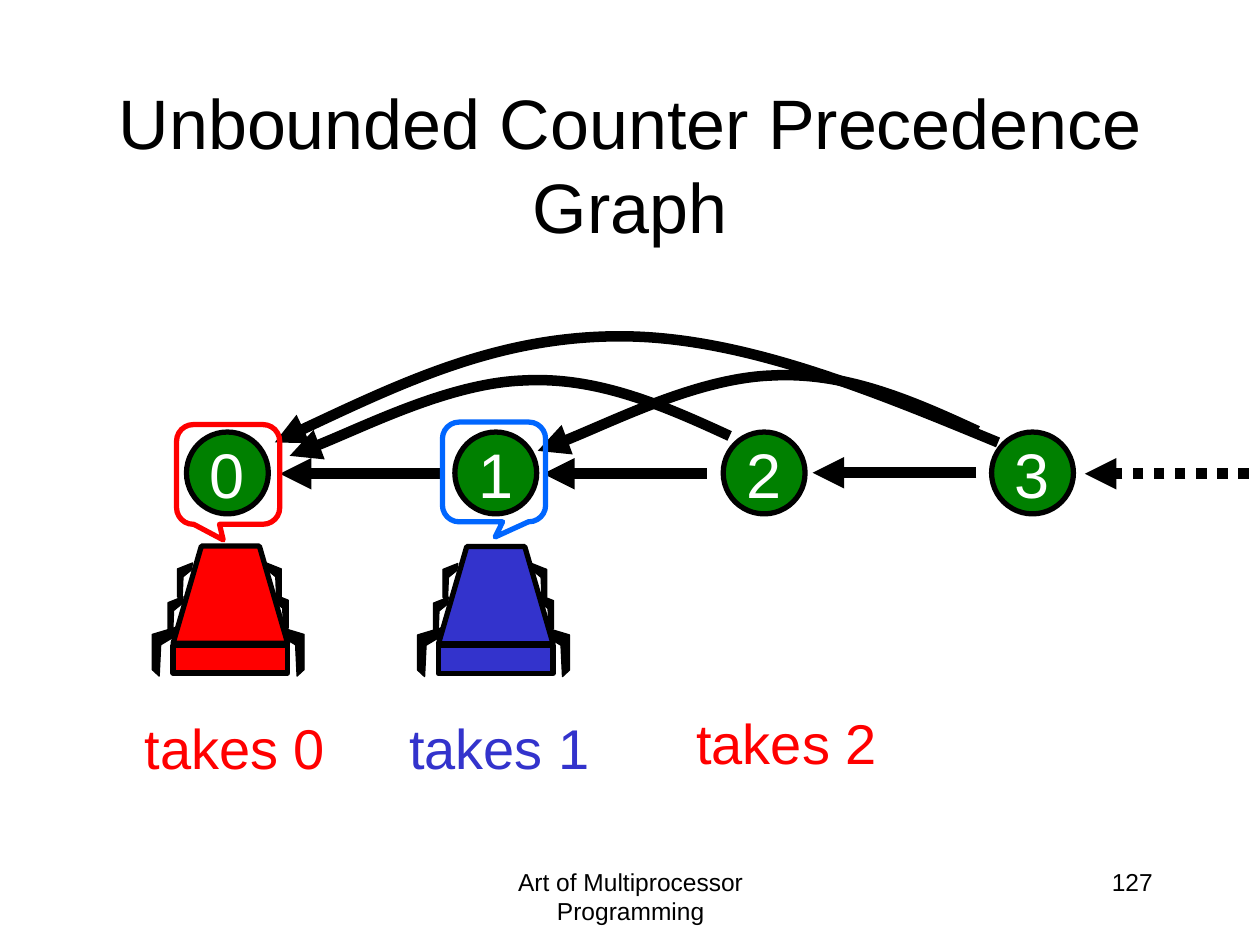
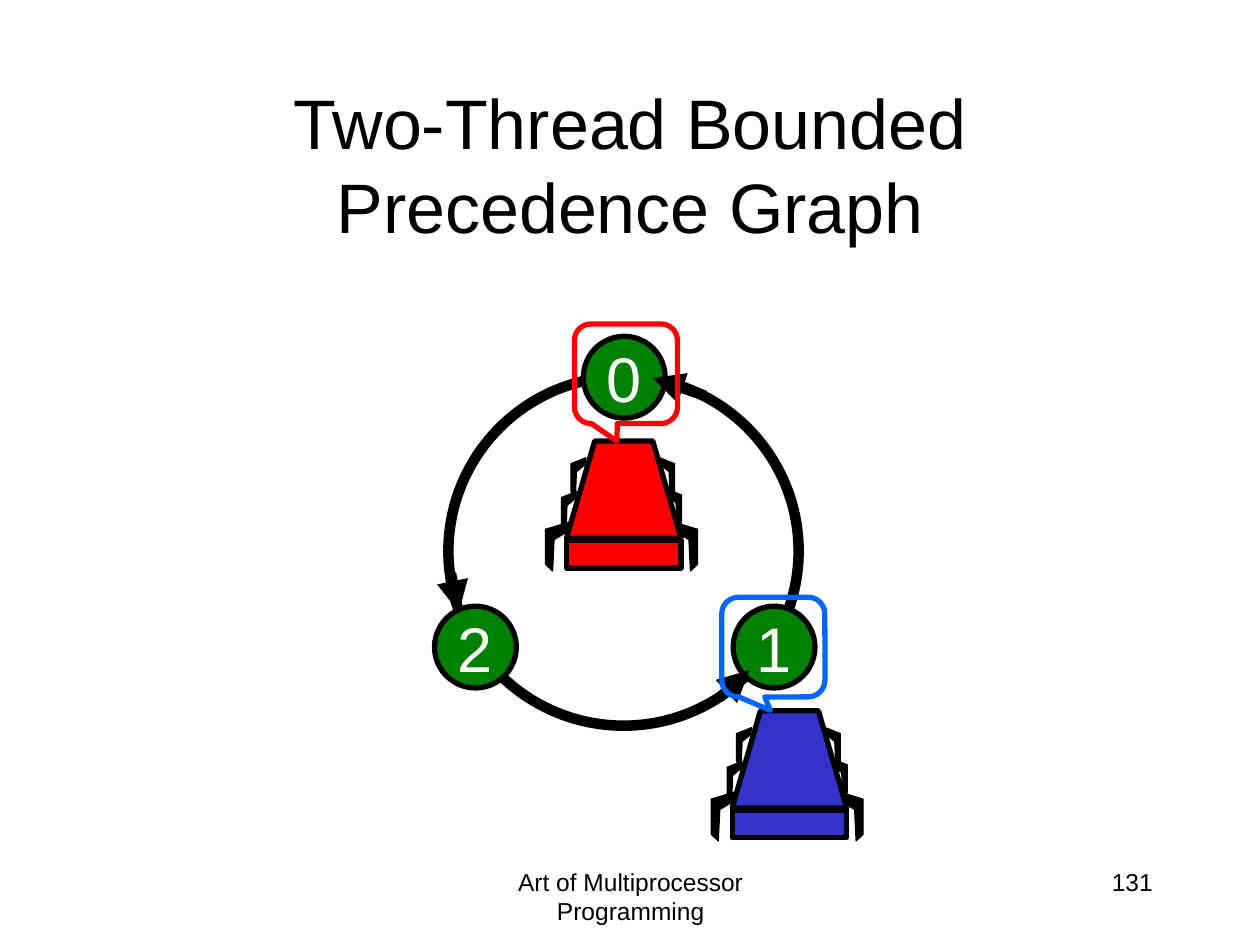
from dataclasses import dataclass

from lxml import etree
from pptx import Presentation
from pptx.dml.color import RGBColor
from pptx.enum import dml, shapes, text
from pptx.oxml import ns
from pptx.util import Cm, Pt


# Theme: colours, type sizes and line widths
@dataclass(frozen=True)
class Theme:
    font: str = "Arial"
    black: str = "000000"
    white: str = "FFFFFF"
    green: str = "008000"
    red: str = "FF0000"
    indigo: str = "3333CC"
    blue: str = "0066FF"
    title_size: int = 40
    node_size: int = 36
    label_size: int = 32
    footer_size: int = 14
    hairline: float = 0.75
    outline: int = 3
    edge: int = 6


THEME = Theme()

# Content; all lengths are centimetres
FOOTER = "Art of Multiprocessor Programming"
TITLE_BOX = (1.9, 1.7, 21.6, 3.18)
FOOTER_BOX = (8.69, 17.35, 8.05, 1.27)
NUMBER_BOX = (18.21, 17.35, 5.28, 1.27)
NODE_SIZE = 1.65
CALLOUT_SIZE = (2.08, 2.01)
LABEL_SIZE = (4.19, 1.62)

UNBOUNDED = {
    "title": "Unbounded Counter Precedence Graph",
    "number": "127",
    "nodes": [(str(i), 3.76 + 5.41 * i, 8.71) for i in range(4)],
    "cars": [(THEME.red, 3.49, 11.01), (THEME.indigo, 8.84, 11.02)],
    "callouts": [(THEME.red, 3.56, 8.56, (-0.048, 0.657)),
                 (THEME.blue, 8.92, 8.51, (0.012, 0.652))],
}
STEP_LENGTH = 3.3
STEP_TIPS = [(5.64, 9.55), (10.95, 9.55), (16.38, 9.53)]
DOTTED_TIP = (21.87, 9.55)
LONG_CURVE = [(20.12, 8.92), (17.53, 7.85), (14.94, 6.78), (12.5, 6.78),
              (10.06, 6.78), (7.8, 7.85), (5.54, 8.92)]
SHORT_CURVE = [(14.71, 8.79), (13.39, 8.18), (12.04, 7.59), (10.57, 7.67),
               (9.09, 7.72), (6.63, 8.94), (5.84, 9.19)]
SHORT_CURVE_SHIFT = (5, -0.1)
LABELS = [("takes 0", THEME.red, 2.62, 14.25),
          ("takes 1", THEME.indigo, 7.95, 14.25),
          ("takes 2", THEME.red, 13.74, 14.15)]

BOUNDED = {
    "title": "Two-Thread Bounded Precedence Graph",
    "number": "131",
    "nodes": [("0", 11.76, 6.78), ("1", 14.78, 12.22), ("2", 8.76, 12.22)],
    "cars": [(THEME.indigo, 14.76, 14.33), (THEME.red, 11.42, 8.89)],
    "callouts": [(THEME.red, 11.58, 6.53, (-0.088, 0.677)),
                 (THEME.blue, 14.55, 12.04, (-0.027, 0.635))],
}
RING = (9.04, 7.59, 7.06, 7.04)
RING_ARROWS = [((9.09, 11.56), (9.25, 12.34)),
               ((14.5, 14.07), (15.11, 13.51)),
               ((14.22, 7.98), (13.16, 7.62))]

# Car parts, measured from the top left of its body
BODY = [(0, 1.96), (0.57, 0), (1.74, 0), (2.31, 1.96)]
BUMPER = (0, 2, 2.31, 0.56)
BIG_LEG = [(0, 0), (0.5, 0.15), (0.5, 0.86), (0.36, 0.99), (0.33, 0.36), (0.03, 0.18)]
SMALL_LEG = [(0, 0), (0.3, 0.12), (0.3, 0.68), (0.21, 0.78), (0.19, 0.28), (0.02, 0.14)]
# outline, direction (1 right, -1 left), joint
REAR_LEGS = [(BIG_LEG, 1, (2.14, 1.63)), (SMALL_LEG, 1, (2.02, 0.97)),
             (BIG_LEG, -1, (0.08, 1.63)), (SMALL_LEG, -1, (0.2, 1.02))]
FRONT_LEGS = [(SMALL_LEG, 1, (1.88, 0.34)), (SMALL_LEG, -1, (0.39, 0.34))]


# Formatting helpers
def cm(*lengths):
    return [Cm(length) for length in lengths]


def shifted(points, dx, dy, direction=1):
    return [(dx + direction * x, dy + y) for x, y in points]


def style(shape, fill, line, width):
    shape.shadow.inherit = False
    if fill:
        shape.fill.solid()
        shape.fill.fore_color.rgb = RGBColor.from_string(fill)
    else:
        shape.fill.background()
    set_line(shape, line, width)


def set_line(shape, color, width):
    shape.line.color.rgb = RGBColor.from_string(color)
    shape.line.width = Pt(width)


def write(shape, words, size, color, align, wrap=True):
    frame = shape.text_frame
    frame.word_wrap = wrap
    para = frame.paragraphs[0]
    para.text = words
    para.alignment = align
    para.font.name = THEME.font
    para.font.size = Pt(size)
    para.font.color.rgb = RGBColor.from_string(color)
    return frame


def add_tip(shape):
    line = shape.line._get_or_add_ln()
    etree.SubElement(line, ns.qn("a:tailEnd"), type="triangle")


# Drawing helpers
def draw_preset(parent, kind, box, fill, line, width):
    shape = parent.shapes.add_shape(kind, *cm(*box))
    style(shape, fill, line, width)
    return shape


def draw_outline(parent, points, fill, line, width, close=True):
    first, *rest = [cm(*point) for point in points]
    builder = parent.shapes.build_freeform(*first)
    builder.add_line_segments(rest, close=close)
    shape = builder.convert_to_shape()
    style(shape, fill, line, width)
    return shape


def draw_curve(page, points):
    """Turn each three points after the first into one Bézier segment."""
    shape = draw_outline(page, points, None, THEME.black, THEME.edge, close=False)
    outline = next(shape._element.iter(ns.qn("a:path")))
    segments = outline.findall(ns.qn("a:lnTo"))
    for start in range(0, len(segments), 3):
        bezier = etree.SubElement(outline, ns.qn("a:cubicBezTo"))
        for segment in segments[start:start + 3]:
            bezier.append(segment[0])
            outline.remove(segment)
    add_tip(shape)


def draw_arrow(page, start, tip, dash=None):
    arrow = page.shapes.add_connector(shapes.MSO_CONNECTOR.STRAIGHT, *cm(*start, *tip))
    set_line(arrow, THEME.black, THEME.edge)
    if dash:
        arrow.line.dash_style = dash
    add_tip(arrow)
    etree.SubElement(arrow._element.spPr, ns.qn("a:effectLst"))


def draw_node(page, name, left, top):
    node = draw_preset(page, shapes.MSO_SHAPE.OVAL, (left, top, NODE_SIZE, NODE_SIZE),
                       THEME.green, THEME.black, THEME.outline)
    frame = write(node, name, THEME.node_size, THEME.white,
                  text.PP_ALIGN.CENTER, wrap=False)
    frame.vertical_anchor = text.MSO_ANCHOR.MIDDLE


def draw_legs(car, legs, left, top):
    for outline, direction, (x, y) in legs:
        draw_outline(car, shifted(outline, left + x, top + y, direction),
                     THEME.black, THEME.black, THEME.hairline)


def draw_car(page, color, left, top):
    car = page.shapes.add_group_shape()
    draw_legs(car, REAR_LEGS, left, top)
    draw_outline(car, shifted(BODY, left, top), color, THEME.black, THEME.outline)
    x, y, width, height = BUMPER
    draw_preset(car, shapes.MSO_SHAPE.RECTANGLE, (left + x, top + y, width, height),
                color, THEME.black, THEME.outline)
    draw_legs(car, FRONT_LEGS, left, top)


def draw_callout(page, color, left, top, pointer):
    callout = draw_preset(page, shapes.MSO_SHAPE.ROUNDED_RECTANGULAR_CALLOUT,
                          (left, top, *CALLOUT_SIZE), None, color, THEME.outline)
    for index, value in enumerate(pointer):
        callout.adjustments[index] = value


def draw_label(page, words, color, left, top):
    box = page.shapes.add_textbox(*cm(left, top, *LABEL_SIZE))
    frame = write(box, words, THEME.label_size, color, text.PP_ALIGN.RIGHT, wrap=False)
    frame.auto_size = text.MSO_AUTO_SIZE.SHAPE_TO_FIT_TEXT


# Shared page frame
def add_page(deck, content):
    page = deck.slides.add_slide(deck.slide_layouts[5])
    title = page.shapes.title
    title.left, title.top, title.width, title.height = cm(*TITLE_BOX)
    frame = write(title, content["title"], THEME.title_size, THEME.black,
                  text.PP_ALIGN.CENTER)
    frame.auto_size = text.MSO_AUTO_SIZE.NONE
    frame.vertical_anchor = text.MSO_ANCHOR.MIDDLE
    for words, place, align in ((FOOTER, FOOTER_BOX, text.PP_ALIGN.CENTER),
                                (content["number"], NUMBER_BOX, text.PP_ALIGN.RIGHT)):
        box = page.shapes.add_textbox(*cm(*place))
        write(box, words, THEME.footer_size, THEME.black, align)
    return page


def draw_all(draw, page, items):
    for item in items:
        draw(page, *item)


# Slides
def build_unbounded(deck):
    page = add_page(deck, UNBOUNDED)
    draw_all(draw_node, page, UNBOUNDED["nodes"])
    for x, y in STEP_TIPS:
        draw_arrow(page, (x + STEP_LENGTH, y), (x, y))
    x, y = DOTTED_TIP
    draw_arrow(page, (x + STEP_LENGTH, y), (x, y), dml.MSO_LINE.ROUND_DOT)
    for curve in (LONG_CURVE, SHORT_CURVE, shifted(SHORT_CURVE, *SHORT_CURVE_SHIFT)):
        draw_curve(page, curve)
    draw_all(draw_car, page, UNBOUNDED["cars"])
    draw_all(draw_label, page, LABELS)
    draw_all(draw_callout, page, UNBOUNDED["callouts"])


def build_bounded(deck):
    page = add_page(deck, BOUNDED)
    draw_preset(page, shapes.MSO_SHAPE.OVAL, RING, None, THEME.black, THEME.edge)
    draw_all(draw_node, page, BOUNDED["nodes"])
    draw_all(draw_car, page, BOUNDED["cars"])
    draw_all(draw_arrow, page, RING_ARROWS)
    draw_all(draw_callout, page, BOUNDED["callouts"])


def main():
    deck = Presentation()
    deck.slide_width, deck.slide_height = cm(25.4, 19.05)
    build_unbounded(deck)
    build_bounded(deck)
    deck.save("out.pptx")


if __name__ == "__main__":
    main()
